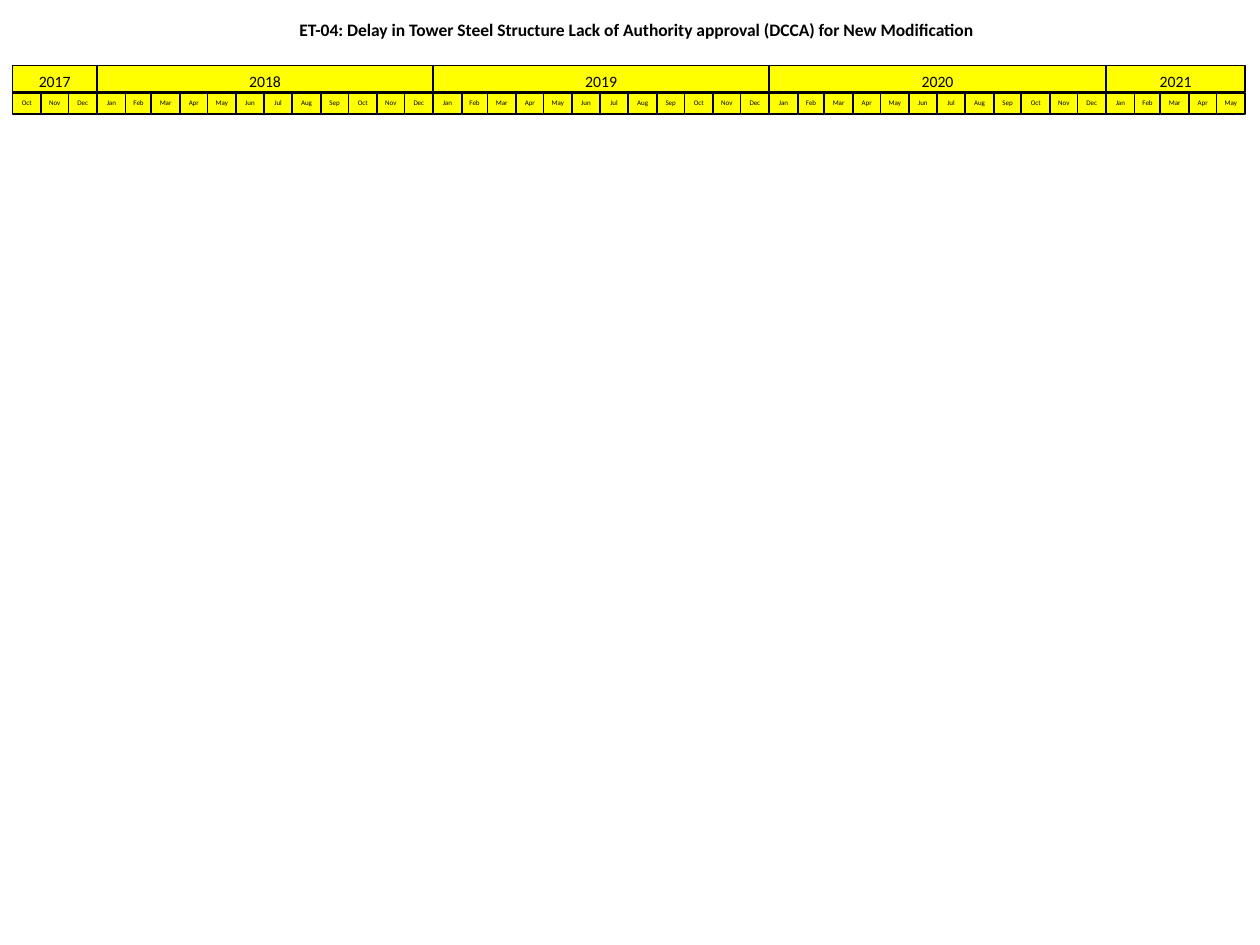
from pptx import Presentation
from pptx.dml.color import RGBColor
from pptx.enum.shapes import MSO_SHAPE
from pptx.enum.text import MSO_ANCHOR, MSO_AUTO_SIZE, PP_ALIGN
from pptx.util import Cm, Pt

MONTH_DAYS = {
    "Jan": 31, "Feb": 28, "Mar": 31, "Apr": 30, "May": 31, "Jun": 30,
    "Jul": 31, "Aug": 31, "Sep": 30, "Oct": 31, "Nov": 30, "Dec": 31,
}
MONTHS = list(MONTH_DAYS)
CALENDAR = {
    2017: MONTHS[9:],
    2018: MONTHS,
    2019: MONTHS,
    2020: MONTHS,
    2021: MONTHS[:5],
}
LEFT = 0.25
TIMELINE_WIDTH = 24.85


def color(hex_string):
    return RGBColor.from_string(hex_string)


def add_box(left, top, width, height, text, size, line="000000", line_width=1):
    """Add an outlined rectangle with centred text at the top; lengths in cm."""
    shape = slide.shapes.add_shape(
        MSO_SHAPE.RECTANGLE, Cm(left), Cm(top), Cm(width), Cm(height))
    shape.shadow.inherit = False
    shape.fill.background()
    shape.line.color.rgb = color(line)
    shape.line.width = Pt(line_width)
    frame = shape.text_frame
    frame.word_wrap = True
    frame.auto_size = MSO_AUTO_SIZE.SHAPE_TO_FIT_TEXT
    frame.vertical_anchor = MSO_ANCHOR.TOP
    paragraph = frame.paragraphs[0]
    paragraph.alignment = PP_ALIGN.CENTER
    run = paragraph.add_run()
    run.text = text
    run.font.name = "Calibri"
    run.font.size = Pt(size)
    run.font.color.rgb = color("000000")
    return shape


presentation = Presentation()
presentation.slide_width = Cm(25.4)
presentation.slide_height = Cm(19.05)
slide = presentation.slides.add_slide(presentation.slide_layouts[6])

title = add_box(
    LEFT, 0.25, 25.15, 1.07,
    "ET-04: Delay in Tower Steel Structure Lack of Authority approval (DCCA) "
    "for New Modification",
    10, line="FFFFFF", line_width=0)
title.text_frame.paragraphs[0].runs[0].font.bold = True

# Every box is as wide as its number of days
year_spans = []
month_spans = []
day = 0
for year, months in CALENDAR.items():
    year_start = day
    for month in months:
        days = MONTH_DAYS[month]
        if month == "Feb" and year % 4 == 0:
            days += 1
        month_spans.append((month, day, days))
        day += days
    year_spans.append((str(year), year_start, day - year_start))
day_width = TIMELINE_WIDTH / day

# Row: spans, top, height, text size, side inset
rows = [
    (year_spans, 1.32, 0.54, 9, 0.25),
    (month_spans, 1.87, 0.43, 4, 0),
]
for spans, top, height, size, inset in rows:
    for label, start, days in spans:
        box = add_box(LEFT + start * day_width, top, days * day_width, height, label, size)
        box.fill.solid()
        box.fill.fore_color.rgb = color("FFFF00")
        box.text_frame.margin_left = box.text_frame.margin_right = Cm(inset)

presentation.save("out.pptx")
